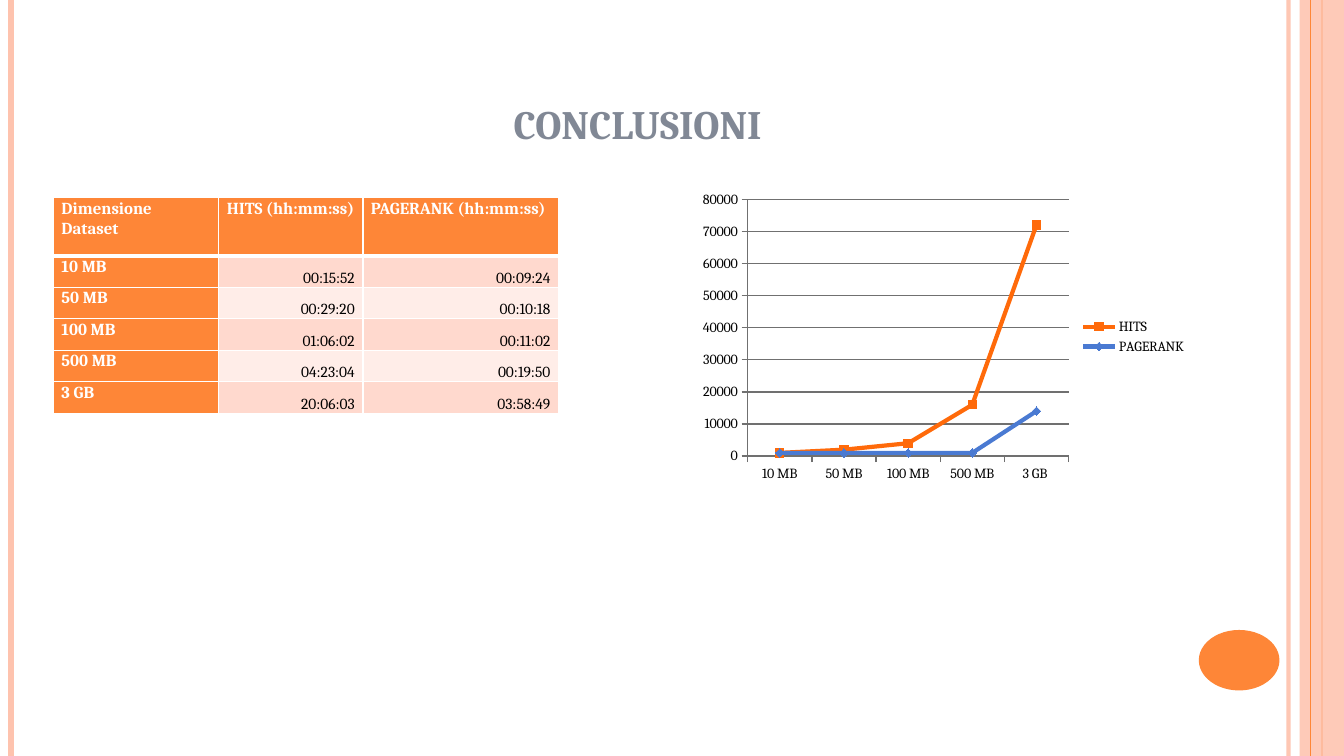
from lxml import etree
from pptx import Presentation
from pptx.chart.data import CategoryChartData
from pptx.dml.color import RGBColor
from pptx.enum.chart import XL_CHART_TYPE, XL_LEGEND_POSITION, XL_MARKER_STYLE, XL_TICK_MARK
from pptx.enum.shapes import MSO_CONNECTOR, MSO_SHAPE
from pptx.enum.text import MSO_ANCHOR, PP_ALIGN
from pptx.oxml.ns import qn
from pptx.util import Inches, Pt

LINE_MARKERS = XL_CHART_TYPE.LINE_MARKERS
LEGEND_RIGHT = XL_LEGEND_POSITION.RIGHT
SQUARE, DIAMOND = XL_MARKER_STYLE.SQUARE, XL_MARKER_STYLE.DIAMOND
TICK_OUT = XL_TICK_MARK.OUTSIDE
STRAIGHT = MSO_CONNECTOR.STRAIGHT
RECT, OVAL = MSO_SHAPE.RECTANGLE, MSO_SHAPE.OVAL
TOP, BOTTOM = MSO_ANCHOR.TOP, MSO_ANCHOR.BOTTOM
LEFT, CENTER, RIGHT = PP_ALIGN.LEFT, PP_ALIGN.CENTER, PP_ALIGN.RIGHT

WHITE = RGBColor(0xFF, 0xFF, 0xFF)
BLACK = RGBColor(0, 0, 0)
ORANGE = RGBColor(0xFE, 0x86, 0x37)
PEACH = RGBColor(0xFE, 0xC3, 0xAE)
BAND_DARK = RGBColor(0xFF, 0xD9, 0xCE)
BAND_LIGHT = RGBColor(0xFF, 0xED, 0xE8)
SLATE = RGBColor(0x81, 0x88, 0x95)
GRID = RGBColor(0x70, 0x70, 0x70)
HITS_LINE = RGBColor(0xFF, 0x6A, 0x0A)
PAGERANK_LINE = RGBColor(0x4A, 0x7A, 0xD2)
FONT = "Cambria"

HEADER = ["Dimensione Dataset", "HITS (hh:mm:ss)", "PAGERANK (hh:mm:ss)"]
TIMES = [
    ("10 MB", "00:15:52", "00:09:24"),
    ("50 MB", "00:29:20", "00:10:18"),
    ("100 MB", "01:06:02", "00:11:02"),
    ("500 MB", "04:23:04", "00:19:50"),
    ("3 GB ", "20:06:03", "03:58:49"),
]


def rounded_seconds(time):
    h, m, sec = map(int, time.split(":"))
    return round(h * 3600 + m * 60 + sec, -3)


def set_alpha(fill_parent, percent):
    clr = fill_parent.find(qn("a:solidFill"))[0]
    etree.SubElement(clr, qn("a:alpha")).set("val", str(percent * 1000))


def style_run(r, size, color, bold=False):
    r.font.name = FONT
    r.font.size = Pt(size)
    r.font.bold = bold
    r.font.color.rgb = color


def add_stripe(s, x, top, height, color, width, alpha=100):
    line = s.shapes.add_connector(STRAIGHT, Inches(x), Inches(top), Inches(x), Inches(top + height))
    line.line.color.rgb = color
    line.line.width = Pt(width)
    sp_pr = line._element.spPr
    etree.SubElement(sp_pr, qn("a:effectLst"))
    if alpha < 100:
        set_alpha(sp_pr.find(qn("a:ln")), alpha)


def add_block(s, kind, x, y, w, h, color):
    sp = s.shapes.add_shape(kind, Inches(x), Inches(y), Inches(w), Inches(h))
    sp.shadow.inherit = False
    sp.fill.solid()
    sp.fill.fore_color.rgb = color
    sp.line.fill.background()
    return sp


def add_frame(s, x, y, w, h):
    right = x + w
    add_stripe(s, right - 0.55, y, h, PEACH, 3, 93)
    add_stripe(s, x + 0.11, y, h, PEACH, 4.5)
    add_stripe(s, right - 0.22, y, h, ORANGE, 1.5)
    band = add_block(s, RECT, right - 0.44, y, 0.44, h, PEACH)
    set_alpha(band._element.spPr, 87)
    add_stripe(s, right - 0.33, y, h, ORANGE, 0.75)
    add_block(s, OVAL, right - 1.44, y + h - 1.25, 0.8, 0.6, ORANGE)


def add_title(s, x, y, w, h):
    tf = s.shapes.add_textbox(Inches(x), Inches(y), Inches(w), Inches(h)).text_frame
    tf.word_wrap = True
    tf.vertical_anchor = BOTTOM
    p = tf.paragraphs[0]
    p.alignment = CENTER
    r = p.add_run()
    r.text = "conclusioni"
    style_run(r, 36, SLATE, True)
    r.font._element.set("cap", "small")


def set_borders(cell, bottom):
    tc_pr = cell._tc.get_or_add_tcPr()
    for i, (side, width) in enumerate([("L", 1), ("R", 1), ("T", 1), ("B", bottom)]):
        ln = etree.Element(qn("a:ln" + side), w=str(Pt(width)))
        fill = etree.SubElement(ln, qn("a:solidFill"))
        etree.SubElement(fill, qn("a:srgbClr"), val=str(WHITE))
        tc_pr.insert(i, ln)


def fill_cell(cell, text, row, col):
    is_label = row == 0 or col == 0
    cell.margin_left = cell.margin_right = Inches(0.08)
    cell.margin_top = cell.margin_bottom = 0
    cell.vertical_anchor = TOP if is_label else BOTTOM
    cell.fill.solid()
    cell.fill.fore_color.rgb = ORANGE if is_label else BAND_DARK if row % 2 else BAND_LIGHT
    set_borders(cell, 1 if row else 3)
    p = cell.text_frame.paragraphs[0]
    p.alignment = LEFT if is_label else RIGHT
    p.line_spacing = 1.07
    r = p.add_run()
    r.text = text
    style_run(r, 12 if is_label else 11, WHITE if is_label else BLACK, is_label)


def add_times_table(s, x, y, w, h):
    rows = [HEADER, *TIMES]
    table = s.shapes.add_table(len(rows), len(HEADER), Inches(x), Inches(y), Inches(w), Inches(h)).table
    size_width, hits_width = 1.64, 1.43
    for col, width in zip(table.columns, (size_width, hits_width, w - size_width - hits_width)):
        col.width = Inches(width)
    header_height = 0.58
    for i, values in enumerate(rows):
        table.rows[i].height = Inches((h - header_height) / len(TIMES) if i else header_height)
        for j, text in enumerate(values):
            fill_cell(table.cell(i, j), text, i, j)


def add_times_chart(s, x, y, w, h):
    sizes, hits, pagerank = zip(*TIMES)
    data = CategoryChartData()
    data.categories = sizes
    data.add_series("HITS", map(rounded_seconds, hits))
    data.add_series("PAGERANK", map(rounded_seconds, pagerank))
    chart = s.shapes.add_chart(LINE_MARKERS, Inches(x), Inches(y), Inches(w), Inches(h), data).chart
    chart.has_title = False
    chart.font.name = FONT
    chart.font.size = Pt(10)
    chart.font.color.rgb = BLACK
    chart.has_legend = True
    chart.legend.position = LEGEND_RIGHT
    chart.legend.include_in_layout = False
    value_axis = chart.value_axis
    value_axis.minimum_scale, value_axis.maximum_scale, value_axis.major_unit = 0, 80000, 10000
    value_axis.tick_labels.number_format = "0"
    value_axis.tick_labels.number_format_is_linked = False
    value_axis.has_major_gridlines = True
    for axis in (chart.category_axis, value_axis):
        axis.major_tick_mark = TICK_OUT
    for part in (chart.category_axis, value_axis, value_axis.major_gridlines):
        part.format.line.color.rgb = GRID
        part.format.line.width = Pt(1)
    plot = chart.plots[0]
    plot.vary_by_categories = False
    styles = [(HITS_LINE, SQUARE), (PAGERANK_LINE, DIAMOND)]
    for series, (color, marker) in zip(plot.series, styles):
        series.smooth = False
        series.format.line.color.rgb = color
        series.format.line.width = Pt(3)
        series.marker.style = marker
        series.marker.size = 6
        series.marker.format.fill.solid()
        series.marker.format.fill.fore_color.rgb = color
        series.marker.format.line.color.rgb = color


prs = Presentation()
prs.slide_width, prs.slide_height = Inches(13.33), Inches(7.5)
s = prs.slides.add_slide(prs.slide_layouts[6])
add_frame(s, 0, 0, 13.33, 7.5)
add_title(s, 4.28, 0.28, 4.09, 1.25)
add_times_table(s, 0.53, 1.96, 5.01, 2.14)
add_times_chart(s, 6.87, 1.84, 5, 3)
prs.save("out.pptx")
